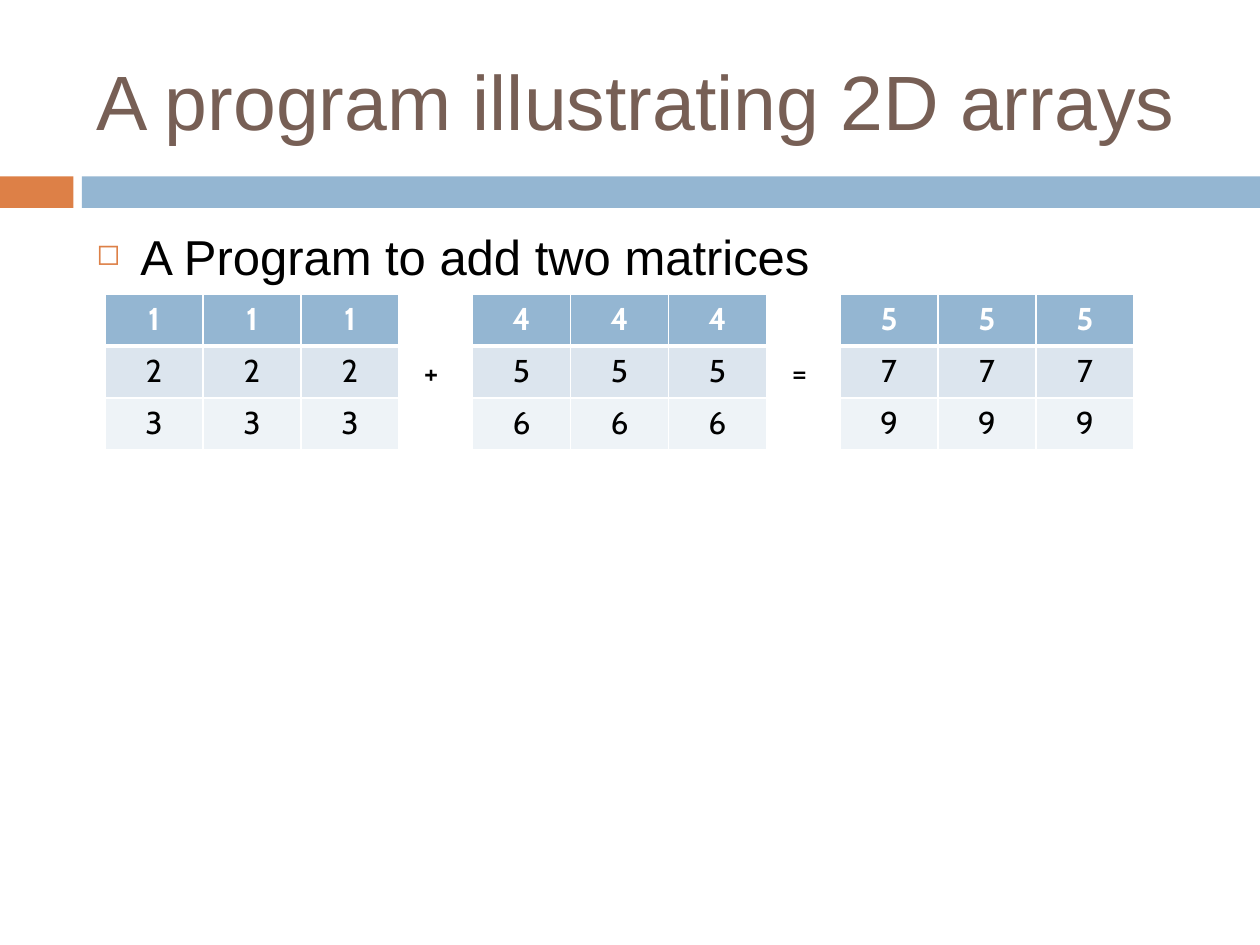
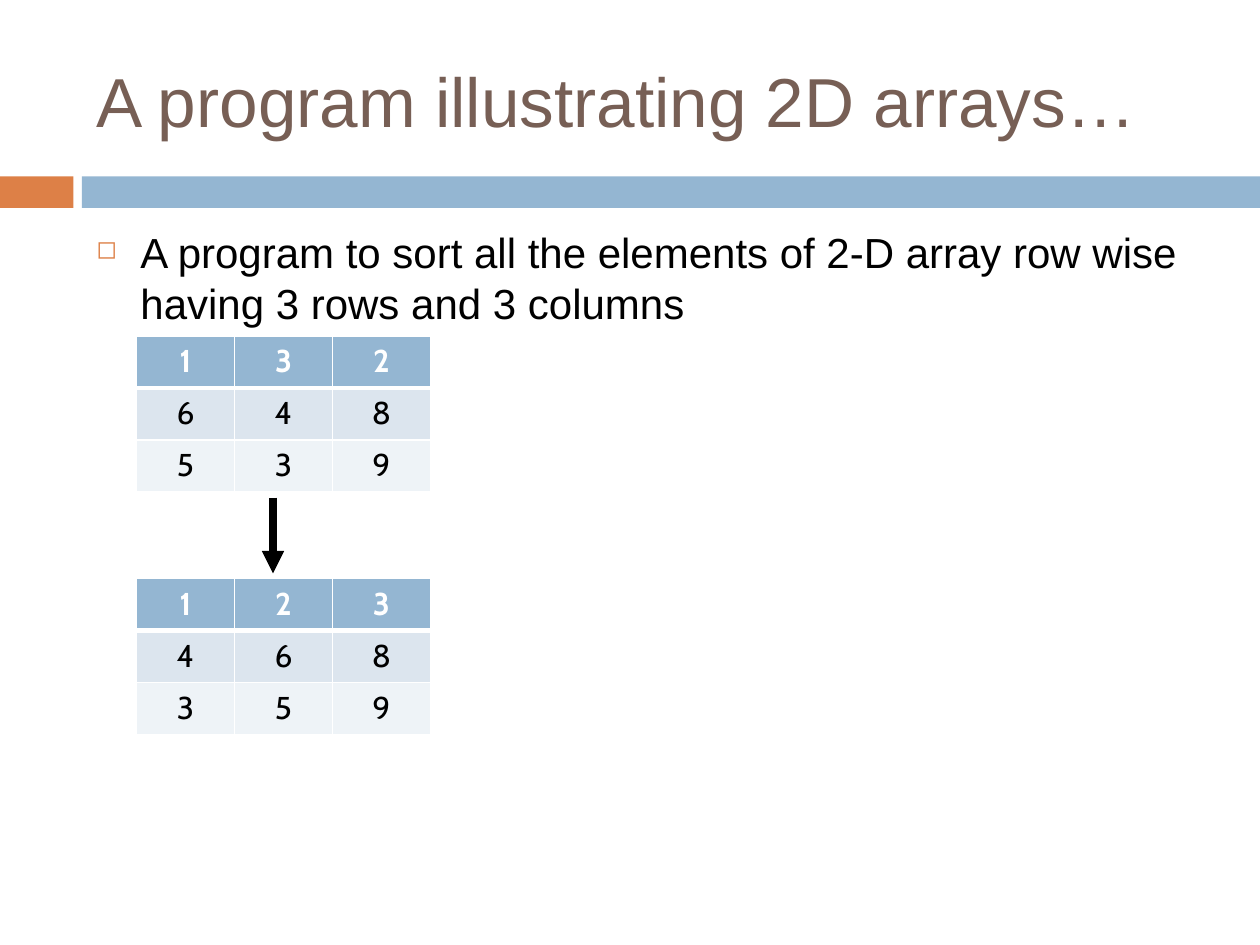
from dataclasses import dataclass

from lxml import etree
from pptx import Presentation
from pptx.dml.color import RGBColor
from pptx.enum.shapes import MSO_CONNECTOR, MSO_SHAPE
from pptx.enum.text import MSO_ANCHOR, MSO_AUTO_SIZE, PP_ALIGN
from pptx.oxml.ns import qn
from pptx.util import Emu, Inches, Pt

STRAIGHT = MSO_CONNECTOR.STRAIGHT
RECTANGLE = MSO_SHAPE.RECTANGLE
MIDDLE = MSO_ANCHOR.MIDDLE
TOP = MSO_ANCHOR.TOP
CENTER = PP_ALIGN.CENTER
FIT_SHAPE = MSO_AUTO_SIZE.SHAPE_TO_FIT_TEXT

ORANGE = RGBColor(0xDD, 0x80, 0x47)
BLUE = RGBColor(0x94, 0xB6, 0xD2)
BROWN = RGBColor(0x77, 0x5F, 0x55)
BLACK = RGBColor(0, 0, 0)
WHITE = RGBColor(0xFF, 0xFF, 0xFF)
ROW_FILLS = (BLUE, RGBColor(0xDC, 0xE5, 0xEE), RGBColor(0xEE, 0xF3, 0xF7))

TEXT_FONT = "Arial"
MATRIX_FONT = "Cabin"
MATRIX_SIZE = 18

WIDTH, HEIGHT = Inches(10), Inches(7.5)
GRID_COLUMNS = 120
UNIT = WIDTH / GRID_COLUMNS
MARGIN = 8
CONTENT_WIDTH = 107
MATRIX_WIDTH = 28
MATRIX_HEIGHT = 14.88
SIGN_OFFSET = 29.2
INDENT = Inches(0.35)


@dataclass(frozen=True)
class Area:
    left: float
    top: float
    width: float
    height: float

    def lengths(self):
        return [grid(value) for value in (self.left, self.top, self.width, self.height)]


@dataclass(frozen=True)
class Band:
    area: Area
    color: RGBColor


@dataclass(frozen=True)
class Matrix:
    left: float
    top: float
    rows: tuple[str, ...]
    sign: str = ""


@dataclass(frozen=True)
class Topic:
    title: str
    title_size: float
    task: str
    task_size: float
    task_rows: float
    matrices: tuple[Matrix, ...]


BANDS = (
    Band(Area(0, 16.8, 7, 3), ORANGE),
    Band(Area(7.8, 16.8, GRID_COLUMNS - 7.8, 3), BLUE),
)
ADDITION = Topic(
    "A program illustrating 2D arrays", 44,
    "A Program to add two matrices", 28, 25,
    (
        Matrix(10, 28, ("111", "222", "333"), "+"),
        Matrix(45, 28, ("444", "555", "666"), "="),
        Matrix(80, 28, ("555", "777", "999")),
    ),
)
SORTING = Topic(
    "A program illustrating 2D arrays…", 39.6,
    "A program to sort all the elements of 2-D array row wise having 3 rows and 3 columns",
    24, 10,
    (
        Matrix(13, 32, ("132", "648", "539")),
        Matrix(13, 55.1, ("123", "468", "359")),
    ),
)


def grid(units: float) -> Emu:
    return Emu(round(units * UNIT))


def format_runs(paragraph, font: str, size: float, color: RGBColor, bold: bool = False) -> None:
    for span in paragraph.runs:
        span.font.name = font
        span.font.size = Pt(size)
        span.font.color.rgb = color
        span.font.bold = bold


def add_text(page, area: Area, text: str, font: str, size: float, color: RGBColor,
             anchor=TOP, wrap: bool = True):
    box = page.shapes.add_textbox(*area.lengths())
    frame = box.text_frame
    frame.word_wrap = wrap
    frame.vertical_anchor = anchor
    frame.text = text
    format_runs(frame.paragraphs[0], font, size, color)
    return box


def add_bullet(paragraph) -> None:
    properties = paragraph._p.get_or_add_pPr()
    properties.set("marL", str(INDENT))
    properties.set("indent", str(-INDENT))
    color = etree.SubElement(properties, qn("a:buClr"))
    etree.SubElement(color, qn("a:srgbClr"), val=str(ORANGE))
    etree.SubElement(properties, qn("a:buSzPct"), val="60000")
    etree.SubElement(properties, qn("a:buChar"), char="◻")


def add_border(cell, side: str, points: float) -> None:
    properties = cell._tc.get_or_add_tcPr()
    line = etree.SubElement(properties, qn(f"a:ln{side}"), w=str(Pt(points)))
    fill = etree.SubElement(line, qn("a:solidFill"))
    etree.SubElement(fill, qn("a:srgbClr"), val=str(WHITE))


def add_matrix(page, matrix: Matrix) -> None:
    area = Area(matrix.left, matrix.top, MATRIX_WIDTH, MATRIX_HEIGHT)
    row_count, column_count = len(matrix.rows), len(matrix.rows[0])
    table = page.shapes.add_table(row_count, column_count, *area.lengths()).table
    for column in table.columns:
        column.width = grid(MATRIX_WIDTH / column_count)
    for row_index, values in enumerate(matrix.rows):
        table.rows[row_index].height = grid(MATRIX_HEIGHT / row_count)
        header = row_index == 0
        for column_index, value in enumerate(values):
            cell = table.cell(row_index, column_index)
            for side in "LRTB":
                heavy = (side, row_index) in (("B", 0), ("T", 1))
                add_border(cell, side, 3 if heavy else 1)
            cell.fill.solid()
            cell.fill.fore_color.rgb = ROW_FILLS[row_index]
            cell.text_frame.text = value
            paragraph = cell.text_frame.paragraphs[0]
            paragraph.alignment = CENTER
            format_runs(paragraph, MATRIX_FONT, MATRIX_SIZE, WHITE if header else BLACK, header)
    if matrix.sign:
        sign_area = Area(matrix.left + SIGN_OFFSET, matrix.top + 5, 4.4, 4.8)
        box = add_text(page, sign_area, matrix.sign, MATRIX_FONT, MATRIX_SIZE, BLACK, wrap=False)
        box.text_frame.auto_size = FIT_SHAPE


def add_arrow(page, column: float, start: float, end: float) -> None:
    arrow = page.shapes.add_connector(STRAIGHT, grid(column), grid(start), grid(column), grid(end))
    arrow.line.color.rgb = BLACK
    arrow.line.width = Pt(4.25)
    etree.SubElement(arrow.line._get_or_add_ln(), qn("a:tailEnd"), type="triangle")
    etree.SubElement(arrow._element.spPr, qn("a:effectLst"))


def add_page(deck, topic: Topic):
    page = deck.slides.add_slide(deck.slide_layouts[6])
    for band in BANDS:
        bar = page.shapes.add_shape(RECTANGLE, *band.area.lengths())
        bar.shadow.inherit = False
        bar.fill.solid()
        bar.fill.fore_color.rgb = band.color
        bar.line.fill.background()
    add_text(page, Area(MARGIN, 3, CONTENT_WIDTH, 13), topic.title,
             TEXT_FONT, topic.title_size, BROWN, MIDDLE)
    task = add_text(page, Area(MARGIN, 21, CONTENT_WIDTH, topic.task_rows), topic.task,
                    TEXT_FONT, topic.task_size, BLACK)
    add_bullet(task.text_frame.paragraphs[0])
    for matrix in topic.matrices:
        add_matrix(page, matrix)
    return page


def main() -> None:
    deck = Presentation()
    deck.slide_width, deck.slide_height = WIDTH, HEIGHT
    add_page(deck, ADDITION)
    sorting_page = add_page(deck, SORTING)
    add_arrow(sorting_page, 26, 47.4, 54.6)
    deck.save("out.pptx")


if __name__ == "__main__":
    main()
